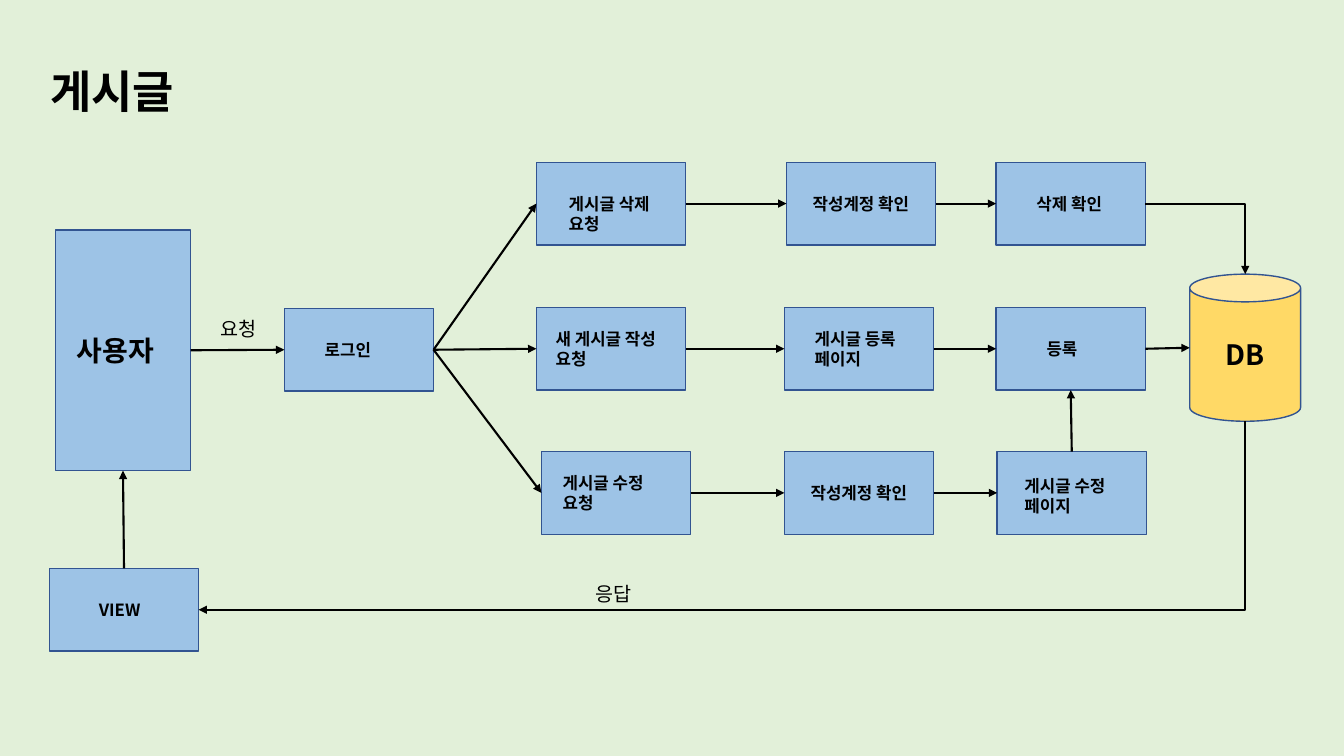
import pptx
import pptx.util
import pptx.dml.color
import pptx.enum.shapes
import pptx.enum.text
import pptx.oxml
import pptx.oxml.ns
import lxml.etree

Inches = pptx.util.Inches
SHAPE = pptx.enum.shapes.MSO_SHAPE
LINE = pptx.enum.shapes.MSO_CONNECTOR
ALIGN = pptx.enum.text.PP_ALIGN
ANCHOR = pptx.enum.text.MSO_ANCHOR
FONT = "Noto Sans CJK KR"
TOP, LEFT, BOTTOM, RIGHT = range(4)
BOX_W, BOX_H = 1.48, 0.82

prs = pptx.Presentation()
prs.slide_width, prs.slide_height = Inches(13.33), Inches(7.5)
s = prs.slides.add_slide(prs.slide_layouts[5])


def paint(fmt, color):
    fmt.solid()
    fmt.fore_color.rgb = pptx.dml.color.RGBColor.from_string(color)


def write(tf, text, size, bold=True, align=ALIGN.LEFT, anchor=ANCHOR.MIDDLE):
    tf.text = text
    tf.word_wrap = True
    tf.vertical_anchor = anchor
    for p in tf.paragraphs:
        p.alignment = align
        p.font.name = FONT
        p.font.size = pptx.util.Pt(size)
        p.font.bold = bold
        paint(p.font.fill, "000000")
        ea = lxml.etree.SubElement(p._p.pPr.defRPr, pptx.oxml.ns.qn("a:ea"))
        ea.set("typeface", FONT)


paint(s.background.fill, "E2F0D9")

title = s.shapes.title
title.left, title.top, title.width, title.height = map(Inches, (0.4, 0.58, 5.73, 0.64))
write(title.text_frame, "게시글", 32, anchor=ANCHOR.TOP)
title.text_frame.auto_size = pptx.enum.text.MSO_AUTO_SIZE.NONE

# name: text, left, top, width, height, text indent, top inset, size
boxes = {
    "user": ("사용자", 0.55, 2.28, 1.34, 2.39, 0.21, 0, 20),
    "view": ("VIEW", 0.49, 5.64, BOX_W, BOX_H, 0.49, 0, 12),
    "login": ("로그인", 2.82, 3.06, BOX_W, BOX_H, 0.4, 0, 12),
    "delete": ("게시글 삭제 요청", 5.32, 1.61, BOX_W, BOX_H, 0.32, 0.2, 12),
    "delete_check": ("작성계정 확인", 7.8, 1.61, BOX_W, BOX_H, 0.26, 0, 12),
    "delete_ok": ("삭제 확인", 9.88, 1.61, BOX_W, BOX_H, 0.4, 0, 12),
    "new": ("새 게시글 작성 요청", 5.32, 3.05, BOX_W, BOX_H, 0.19, 0, 12),
    "new_page": ("게시글 등록 페이지", 7.78, 3.05, BOX_W, BOX_H, 0.3, 0, 12),
    "register": ("등록", 9.88, 3.05, BOX_W, BOX_H, 0.5, 0, 12),
    "edit": ("게시글 수정\n요청", 5.37, 4.48, BOX_W, BOX_H, 0.21, 0, 12),
    "edit_check": ("작성계정 확인", 7.78, 4.48, BOX_W, BOX_H, 0.26, 0, 12),
    "edit_page": ("게시글 수정 페이지", 9.89, 4.48, BOX_W, BOX_H, 0.27, 0.06, 12),
    "db": ("DB", 11.8, 2.72, 1.1, 1.46, 0.1, 0, 20),
}
nodes = {}
for name, (text, x, y, w, h, indent, inset, size) in boxes.items():
    is_db = name == "db"
    sp = s.shapes.add_shape(SHAPE.CAN if is_db else SHAPE.RECTANGLE,
                            Inches(x), Inches(y), Inches(w), Inches(h))
    sp.shadow.inherit = False
    paint(sp.fill, "FFD966" if is_db else "9DC3E6")
    paint(sp.line.fill, "325491")
    sp.line.width = pptx.util.Pt(1)
    tf = sp.text_frame
    tf.margin_left, tf.margin_right = Inches(indent), Inches(0.1)
    tf.margin_top, tf.margin_bottom = Inches(inset), 0
    write(tf, text, size, align=ALIGN.CENTER if is_db else ALIGN.LEFT)
    nodes[name] = sp

for text, x, y in (("요청", 2.09, 3.09), ("응답", 5.81, 5.72)):
    tb = s.shapes.add_textbox(Inches(x), Inches(y), Inches(0.79), Inches(0.34))
    write(tb.text_frame, text, 14, bold=False, anchor=ANCHOR.TOP)

arrows = []
for start, side, end, end_side in (
    ("user", RIGHT, "login", LEFT),
    ("login", RIGHT, "delete", LEFT),
    ("login", RIGHT, "new", LEFT),
    ("login", RIGHT, "edit", LEFT),
    ("delete", RIGHT, "delete_check", LEFT),
    ("delete_check", RIGHT, "delete_ok", LEFT),
    ("new", RIGHT, "new_page", LEFT),
    ("new_page", RIGHT, "register", LEFT),
    ("edit", RIGHT, "edit_check", LEFT),
    ("edit_check", RIGHT, "edit_page", LEFT),
    ("edit_page", TOP, "register", BOTTOM),
    ("view", TOP, "user", BOTTOM),
):
    cxn = s.shapes.add_connector(LINE.STRAIGHT, 0, 0, 0, 0)
    cxn.begin_connect(nodes[start], side)
    cxn.end_connect(nodes[end], end_side)
    arrows.append(cxn)

for kind, turn, x1, y1, x2, y2 in (
    (LINE.STRAIGHT, 0, 11.36, 3.46, 11.8, 3.45),
    (LINE.ELBOW, 0, 11.36, 2.02, 12.35, 2.72),
    (LINE.ELBOW, 90, 12.35, 4.18, 1.97, 6.05),
):
    if turn:
        cx, cy = (x1 + x2) / 2, (y1 + y2) / 2
        half_w, half_h = abs(y2 - y1) / 2, abs(x2 - x1) / 2
        x1, y1, x2, y2 = cx - half_w, cy - half_h, cx + half_w, cy + half_h
    cxn = s.shapes.add_connector(kind, *map(Inches, (x1, y1, x2, y2)))
    if kind == LINE.ELBOW:
        spPr = cxn._element.spPr
        spPr.find(pptx.oxml.ns.qn("a:prstGeom")).set("prst", "bentConnector2")
        spPr.find(pptx.oxml.ns.qn("a:xfrm")).set("rot", str(turn * 60000))
    arrows.append(cxn)

for cxn in arrows:
    paint(cxn.line.fill, "000000")
    cxn.line.width = pptx.util.Pt(1.5)
    tail = lxml.etree.SubElement(cxn.line._get_or_add_ln(), pptx.oxml.ns.qn("a:tailEnd"))
    tail.set("type", "triangle")
    lxml.etree.SubElement(cxn._element.spPr, pptx.oxml.ns.qn("a:effectLst"))

prs.save("out.pptx")
